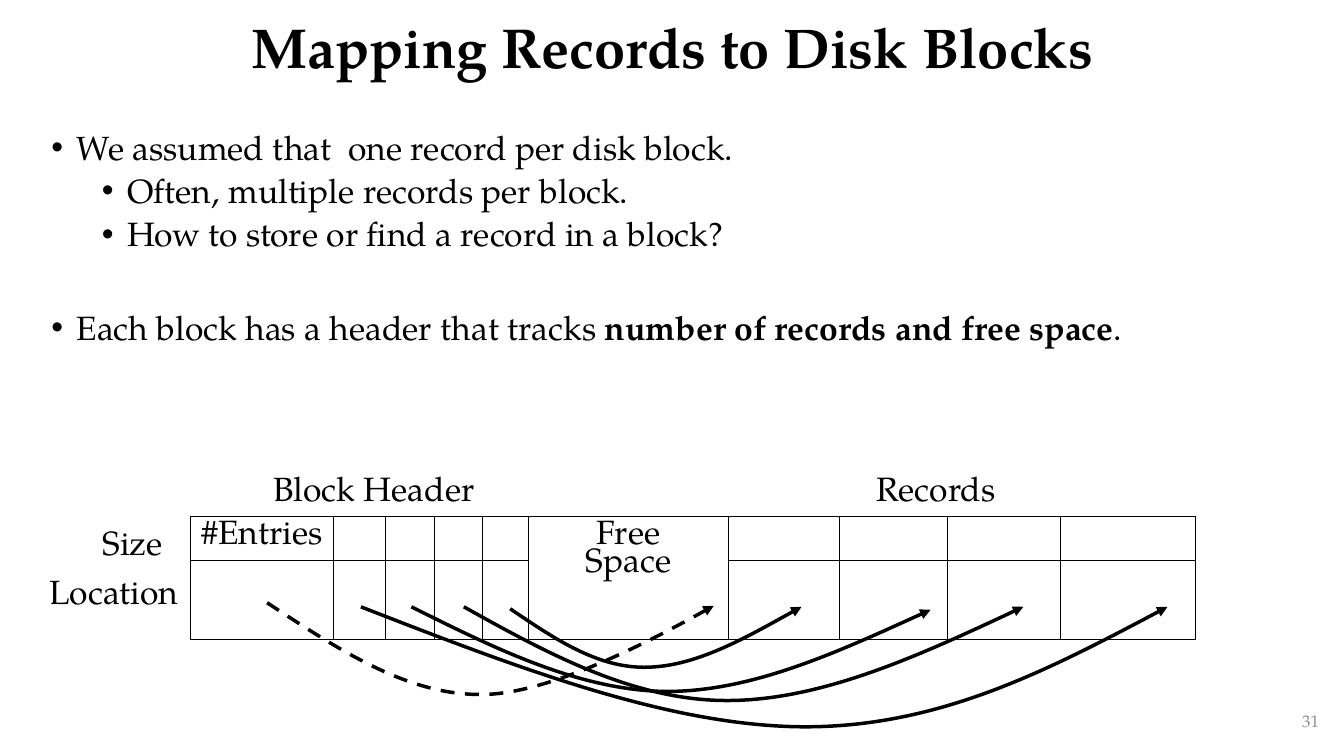
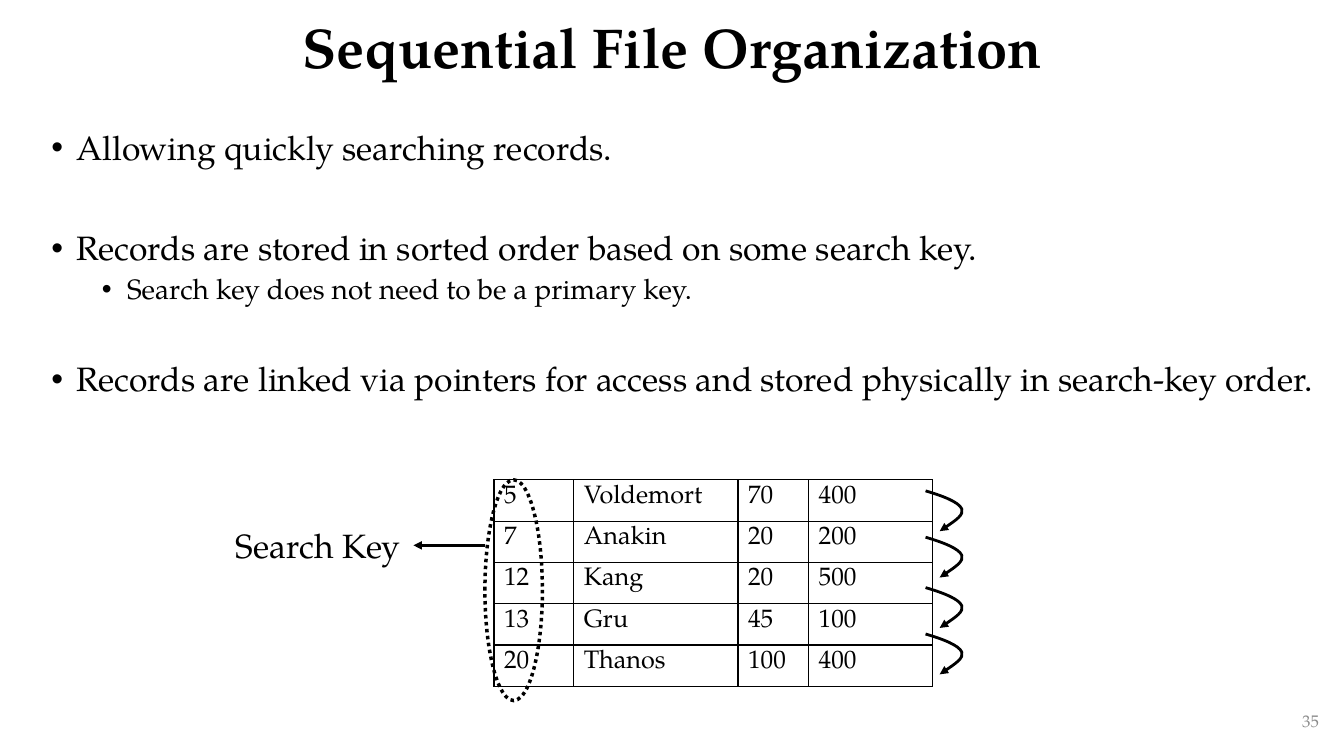
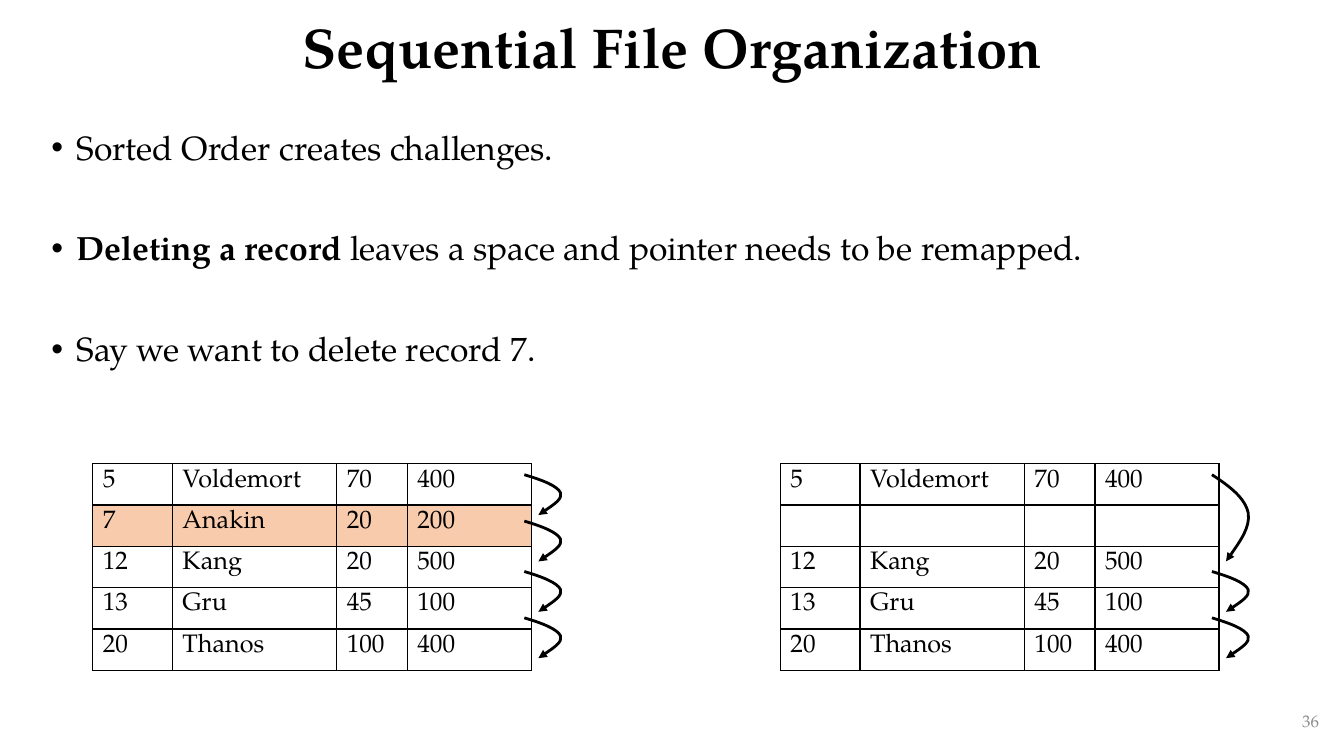
from lxml.etree import SubElement
from pptx import Presentation
from pptx.dml.color import RGBColor
from pptx.enum.dml import MSO_LINE
from pptx.enum.shapes import MSO_CONNECTOR, MSO_SHAPE
from pptx.enum.text import MSO_ANCHOR, MSO_AUTO_SIZE, PP_ALIGN
from pptx.oxml.ns import qn
from pptx.util import Pt

PX = 9144  # EMU in one px, 100 px to the inch
FONT = "TeX Gyre Pagella"
COLORS = {"ink": "000000", "page": "8C8C8C", "deleted": "F8CBAD", "empty": "FFFFFF"}
RECORD_COLUMNS = [79, 163, 70, 123]
RECORD_ROW = 41
RECORDS = [
    ["5", "Voldemort", "70", "400"],
    ["7", "Anakin", "20", "200"],
    ["12", "Kang", "20", "500"],
    ["13", "Gru", "45", "100"],
    ["20", "Thanos", "100", "400"],
]
NEXT_POINTERS = [(11, 40), (57, 40), (107, 40), (153, 40)]
POINTER_CURVE = [(0, 0), (17, 0.13), (33, 0.27), (36, 0.44), (38, 0.61), (26, 0.8), (14, 1)]


def color(name):
    return RGBColor.from_string(COLORS[name])


def place(shape, left, top, width, height):
    shape.left, shape.top = left * PX, top * PX
    shape.width, shape.height = width * PX, height * PX


def style_font(paragraph, size, name="ink", bold=False):
    font = paragraph.font
    font.name, font.size, font.bold = FONT, Pt(size), bold
    font.color.rgb = color(name)


def style_line(shape, width, dash=None, arrow=True):
    line = shape.line
    line.color.rgb = color("ink")
    line.width = Pt(width)
    if dash:
        line.dash_style = dash
    if arrow:
        SubElement(line._get_or_add_ln(), qn("a:tailEnd"), type="triangle")


def add_slide(presentation, title, page):
    slide = presentation.slides.add_slide(presentation.slide_layouts[1])
    place(slide.shapes.title, 92, 0, 1150, 99)
    frame = slide.shapes.title.text_frame
    frame.text = title
    frame.auto_size = MSO_AUTO_SIZE.NONE
    frame.vertical_anchor = MSO_ANCHOR.MIDDLE
    paragraph = frame.paragraphs[0]
    paragraph.alignment = PP_ALIGN.CENTER
    paragraph.line_spacing = 0.9
    style_font(paragraph, 40, bold=True)

    number = slide.shapes.add_textbox(1018 * PX, 695 * PX, 300 * PX, 40 * PX)
    frame = number.text_frame
    frame.text = str(page)
    frame.word_wrap = True
    frame.vertical_anchor = MSO_ANCHOR.MIDDLE
    frame.paragraphs[0].alignment = PP_ALIGN.RIGHT
    style_font(frame.paragraphs[0], 12, "page")
    return slide


def fill_body(slide, items):
    """Each item is level, size, space before, then runs; a run in * is bold."""
    body = slide.placeholders[1]
    place(body, 41, 125, 1292, 538)
    frame = body.text_frame
    frame.auto_size = MSO_AUTO_SIZE.NONE
    for index, (level, size, before, *runs) in enumerate(items):
        paragraph = frame.add_paragraph() if index else frame.paragraphs[0]
        paragraph.level = level
        paragraph.alignment = PP_ALIGN.JUSTIFY
        properties = paragraph._p.get_or_add_pPr()
        properties.set("marL", str((25 + 50 * level) * PX))
        properties.set("indent", str(-25 * PX))
        SubElement(properties, qn("a:buFont"), typeface="Arial")
        SubElement(properties, qn("a:buChar"), char="•")
        paragraph.line_spacing = 0.9
        paragraph.space_before = Pt(before)
        style_font(paragraph, size)
        for text in runs:
            run = paragraph.add_run()
            run.text = text.strip("*")
            if text.startswith("*"):
                run.font.bold = True


def add_label(slide, text, left, top, width):
    label = slide.shapes.add_textbox(left * PX, top * PX, width * PX, 50 * PX)
    frame = label.text_frame
    frame.text = text
    frame.word_wrap = False
    frame.auto_size = MSO_AUTO_SIZE.SHAPE_TO_FIT_TEXT
    style_font(frame.paragraphs[0], 24)
    return label


def add_curve(slide, points, width, dash=None):
    """Draw an arrow through cubic Bezier points: start, then threes."""
    builder = slide.shapes.build_freeform(*points[0], scale=PX)
    builder.add_line_segments(points[1:], close=False)
    curve = builder.convert_to_shape()
    outline = next(curve._element.iter(qn("a:path")))
    segments = outline.findall(qn("a:lnTo"))
    for start in range(0, len(segments), 3):
        bezier = SubElement(outline, qn("a:cubicBezTo"))
        for segment in segments[start:start + 3]:
            bezier.append(segment[0])
            outline.remove(segment)
    curve.fill.background()
    curve.shadow.inherit = False
    style_line(curve, width, dash)


def border_cell(cell):
    properties = cell._tc.get_or_add_tcPr()
    for side in ("a:lnL", "a:lnR", "a:lnT", "a:lnB"):
        line = SubElement(properties, qn(side), w=str(Pt(1)))
        fill = SubElement(line, qn("a:solidFill"))
        SubElement(fill, qn("a:srgbClr"), val=COLORS["ink"])


def add_grid(slide, left, top, columns, rows):
    """Add an unfilled table with thin borders."""
    frame = slide.shapes.add_table(len(rows), len(columns), left * PX, top * PX,
                                   sum(columns) * PX, sum(rows) * PX)
    table = frame.table
    table.first_row = table.horz_banding = False
    for column, width in zip(table.columns, columns):
        column.width = width * PX
    for row, height in zip(table.rows, rows):
        row.height = height * PX
    for cell in table.iter_cells():
        border_cell(cell)
        cell.fill.background()
    return table


def add_records(slide, left, top, records, pointers, fills=None):
    """Add a record table with next-record arrows; fills maps row to colour."""
    table = add_grid(slide, left, top, RECORD_COLUMNS, [RECORD_ROW] * len(records))
    for row, record in enumerate(records):
        for column, text in enumerate(record):
            cell = table.cell(row, column)
            cell.text = text
            style_font(cell.text_frame.paragraphs[0], 18)
            if fills and row in fills:
                cell.fill.solid()
                cell.fill.fore_color.rgb = color(fills[row])
    for offset, height in pointers:
        points = [(left + 428 + x, top + offset + round(y * height)) for x, y in POINTER_CURVE]
        add_curve(slide, points, 2)


def add_block_diagram(slide):
    columns = [142, 51, 49, 48, 45, 199, 110, 107, 112, 134]
    table = add_grid(slide, 189, 512, columns, [43, 77])
    table.cell(0, 5).merge(table.cell(1, 5))
    for column, text in ((0, "#Entries"), (5, "Free\nSpace")):
        cell = table.cell(0, column)
        cell.text = text
        for paragraph in cell.text_frame.paragraphs:
            paragraph.alignment = PP_ALIGN.CENTER
            paragraph.line_spacing = 0.85
            style_font(paragraph, 24)

    add_curve(slide, [(265, 598), (334, 643), (402, 689), (476, 689),
                      (550, 690), (708, 601), (708, 601)], 2.5, MSO_LINE.DASH)
    record_curves = [
        [(358, 602), (512, 662), (665, 721), (799, 721), (932, 721), (1045, 662), (1158, 602)],
        [(408, 602), (492, 644), (575, 685), (661, 686), (746, 686), (835, 645), (923, 605)],
        [(460, 602), (544, 649), (629, 695), (721, 695), (814, 695), (915, 649), (1015, 602)],
        [(506, 604), (549, 633), (591, 662), (639, 662), (688, 662), (741, 632), (795, 602)],
    ]
    for points in record_curves:
        add_curve(slide, points, 2.5)

    for label in (("Records", 860, 459, 140), ("Size", 92, 513, 81),
                  ("Block Header", 261, 459, 222), ("Location", 39, 561, 150)):
        add_label(slide, *label)


def add_search_key(slide):
    ring = slide.shapes.add_shape(MSO_SHAPE.OVAL, 481 * PX, 476 * PX, 57 * PX, 219 * PX)
    ring.fill.background()
    ring.shadow.inherit = False
    style_line(ring, 2.5, MSO_LINE.ROUND_DOT, arrow=False)
    label = add_label(slide, "Search Key", 224, 516, 186)
    arrow = slide.shapes.add_connector(MSO_CONNECTOR.STRAIGHT,
                                       481 * PX, 541 * PX, 410 * PX, 541 * PX)
    arrow.end_connect(label, 3)
    style_line(arrow, 2)
    SubElement(arrow._element.spPr, qn("a:effectLst"))


def main():
    presentation = Presentation()
    presentation.slide_width, presentation.slide_height = 1333 * PX, 750 * PX

    slide = add_slide(presentation, "Mapping Records to Disk Blocks", 31)
    fill_body(slide, [
        (0, 24, 0, "We assumed that  one record per disk block."),
        (1, 24, 5, "Often, multiple records per block."),
        (1, 24, 5, "How to store or find a record in a block?"),
        (0, 24, 41, "Each block has a header that tracks ",
         "*number of records and free space*", "."),
    ])
    add_block_diagram(slide)

    slide = add_slide(presentation, "Sequential File Organization", 35)
    fill_body(slide, [
        (0, 24, 0, "Allowing quickly searching records."),
        (0, 24, 46, "Records are stored in sorted order based on some search key."),
        (1, 20, 5, "Search key does not need to be a primary key."),
        (0, 24, 41, "Records are linked via pointers for access and stored "
                    "physically in search-key order."),
    ])
    add_records(slide, 490, 476, RECORDS, NEXT_POINTERS)
    add_search_key(slide)

    slide = add_slide(presentation, "Sequential File Organization", 36)
    fill_body(slide, [
        (0, 24, 0, "Sorted Order creates challenges."),
        (0, 24, 46, "*Deleting a record *", "leaves a space and pointer needs to be remapped."),
        (0, 24, 46, "Say we want to delete record 7."),
    ])
    add_records(slide, 92, 460, RECORDS, NEXT_POINTERS, {1: "deleted"})
    remaining = [RECORDS[0], [""] * 4, *RECORDS[2:]]
    add_records(slide, 774, 460, remaining, [(11, 86), *NEXT_POINTERS[2:]], {1: "empty"})

    presentation.save("out.pptx")


if __name__ == "__main__":
    main()
